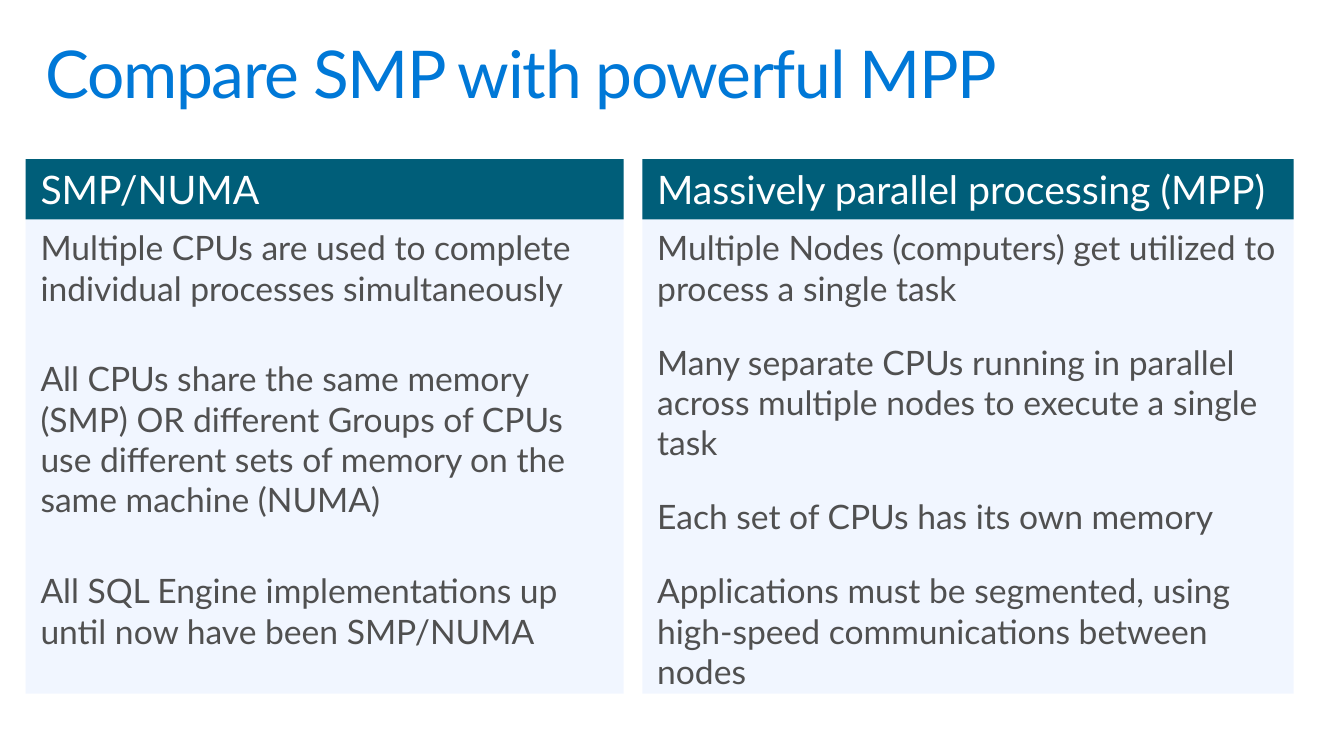
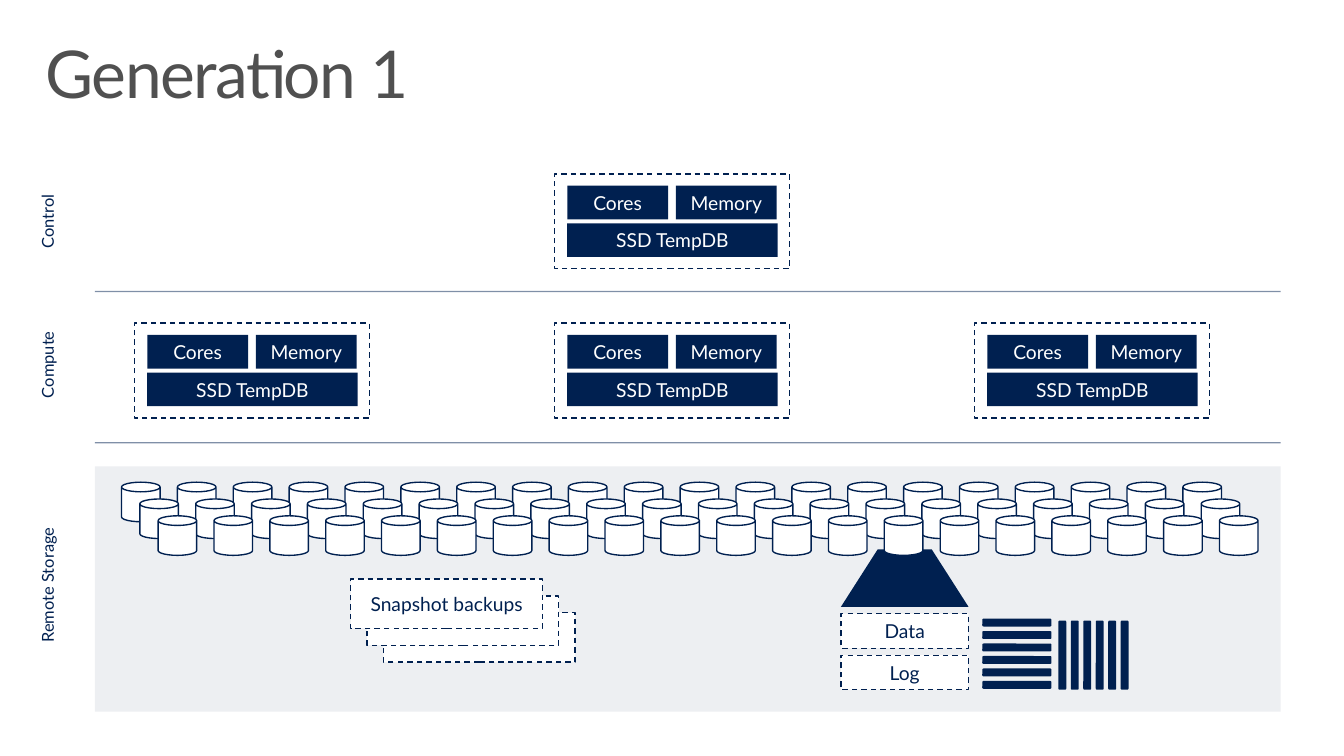
from lxml.etree import SubElement
from pptx import Presentation
from pptx.dml.color import RGBColor
from pptx.enum.dml import MSO_LINE
from pptx.enum.shapes import MSO_CONNECTOR, MSO_SHAPE
from pptx.enum.text import MSO_ANCHOR, MSO_AUTO_SIZE, PP_ALIGN
from pptx.oxml.ns import qn
from pptx.util import Inches, Pt

FONT = "Lato"
BLUE, TEAL, PALE = "0078D7", "005E79", "94BEFF"
NAVY, GREY, WHITE = "002050", "505050", "FFFFFF"


def paint(color, code, alpha=None):
    """Set a colour from its hex code, with an optional opacity in percent."""
    color.rgb = RGBColor.from_string(code)
    if alpha is not None:
        node = color._xFill.find(qn("a:srgbClr"))
        SubElement(node, qn("a:alpha")).set("val", str(alpha * 1000))


def write(shape, lines, size, code, align=PP_ALIGN.CENTER,
          anchor=MSO_ANCHOR.MIDDLE, pad=(0, 0, 0, 0), gap=0, wrap=True):
    """Fill a shape with paragraphs, parted by a gap in points."""
    frame = shape.text_frame
    frame.auto_size = MSO_AUTO_SIZE.NONE
    frame.word_wrap = wrap
    frame.vertical_anchor = anchor
    frame.margin_left, frame.margin_top, frame.margin_right, frame.margin_bottom = map(Inches, pad)
    for i, line in enumerate(lines):
        para = frame.add_paragraph() if i else frame.paragraphs[0]
        para.alignment = align
        para.space_before = Pt(gap if i else 0)
        run = para.add_run()
        run.text = line
        run.font.name = FONT
        run.font.size = Pt(size)
        paint(run.font.color, code)
    return frame


def draw(shapes, kind, box, fill=None, alpha=None, line=None, dash=False):
    """Add a preset shape without shadow."""
    shape = shapes.add_shape(kind, *map(Inches, box))
    shape.shadow.inherit = False
    if fill:
        shape.fill.solid()
        paint(shape.fill.fore_color, fill, alpha)
    else:
        shape.fill.background()
    if line:
        paint(shape.line.color, line)
        shape.line.width = Pt(1)
        if dash:
            shape.line.dash_style = MSO_LINE.DASH
    else:
        shape.line.fill.background()
    return shape


def start(deck, text, code):
    """Add a title-only slide with its heading."""
    slide = deck.slides.add_slide(deck.slide_layouts[5])
    title = slide.shapes.title
    title.left, title.top, title.width, title.height = map(Inches, (0.3, 0.32, 13, 1))
    frame = write(title, [text], 48, code, PP_ALIGN.LEFT, MSO_ANCHOR.TOP,
                  (0.16, 0.1, 0.16, 0.1))
    para = frame.paragraphs[0]
    para.line_spacing = 0.9
    para.runs[0]._r.get_or_add_rPr().set("spc", "-100")
    return slide.shapes


def panel(shapes, left, width, head, lines, gap):
    """Draw a column with a header bar and body text."""
    top, bar = 1.61, 0.61
    group = shapes.add_group_shape().shapes
    draw(group, MSO_SHAPE.RECTANGLE, (left, top + 0.02, width, 5.39), PALE, 13)
    title = draw(group, MSO_SHAPE.RECTANGLE, (left, top, width, bar), TEAL)
    write(title, [head], 28.6, WHITE, PP_ALIGN.LEFT, pad=(0.15, 0, 0.15, 0))
    body = group.add_textbox(*map(Inches, (left, top + bar, width, 4.8)))
    write(body, lines, 24.5, GREY, PP_ALIGN.LEFT, MSO_ANCHOR.TOP,
          (0.15, 0.08, 0.15, 0), gap)


def label(shapes, text, mid):
    """Place a row label that reads upwards, centred on a height."""
    wide, high = 2.4, 0.3
    box = shapes.add_textbox(*map(Inches, (0.48 - wide / 2, mid - high / 2, wide, high)))
    box.rotation = 270
    write(box, [text], 12, NAVY)


def rule(shapes, top):
    """Draw a pale line between two rows."""
    line = shapes.add_connector(MSO_CONNECTOR.STRAIGHT, *map(Inches, (0.96, top, 12.96, top)))
    paint(line.line.color, NAVY, 50)
    line.line.width = Pt(1)
    SubElement(line._element.spPr, qn("a:effectLst"))


def node(shapes, left, top):
    """Draw a server with cores, memory and local disk."""
    group = shapes.add_group_shape().shapes
    draw(group, MSO_SHAPE.RECTANGLE, (left, top, 2.38, 0.96), line=NAVY, dash=True)
    parts = (("Cores", 0.13, 0.12, 1.02), ("Memory", 1.23, 0.12, 1.02),
             ("SSD TempDB", 0.13, 0.5, 2.13))
    for text, x, y, width in parts:
        part = draw(group, MSO_SHAPE.RECTANGLE, (left + x, top + y, width, 0.34), NAVY)
        write(part, [text], 14, WHITE)


def disks(shapes, left, top):
    """Draw three staggered rows of twenty disks."""
    group = shapes.add_group_shape().shapes
    step = 10.74 / 19
    for row in range(3):
        for col in range(20):
            x = left + col * step + row * 0.37 / 2
            draw(group, MSO_SHAPE.CAN, (x, top + row * 0.17, 0.39, 0.4), WHITE, line=NAVY)


def card(shapes, box, text=None):
    """Draw a white card with a dashed edge."""
    shape = draw(shapes, MSO_SHAPE.RECTANGLE, box, WHITE, line=NAVY, dash=True)
    if text:
        write(shape, [text], 14, NAVY)


def bars(shapes, left, top):
    """Draw six flat bars beside six upright ones."""
    long, thin, step = 0.7, 0.08, 0.63 / 5
    flat, tall = (shapes.add_group_shape().shapes for _ in range(2))
    for i in range(6):
        draw(flat, MSO_SHAPE.ROUNDED_RECTANGLE, (left, top + i * step, long, thin), NAVY)
        draw(tall, MSO_SHAPE.ROUNDED_RECTANGLE,
             (left + 0.77 + i * step, top + 0.02, thin, long), NAVY)


def store(shapes, left, top):
    """Draw the storage band with disks, backups and files."""
    draw(shapes, MSO_SHAPE.FLOWCHART_PROCESS, (left, top, 12, 2.48), NAVY, 7)
    beam = draw(shapes, MSO_SHAPE.TRAPEZOID, (left + 7.55, top + 0.84, 1.29, 0.58), NAVY)
    beam.adjustments[0] = 0.64
    disks(shapes, left + 0.27, top + 0.16)
    for i, text in ((2, None), (1, None), (0, "Snapshot backups")):
        card(shapes, (left + 2.59 + i * 0.33 / 2, top + 1.14 + i * 0.17, 1.94, 0.5), text)
    for i, text in enumerate(("Data", "Log")):
        card(shapes, (left + 7.55, top + 1.49 + i * 0.42, 1.29, 0.35), text)
    bars(shapes, left + 8.98, top + 1.54)


def compare(deck):
    """Build the slide with two columns."""
    shapes = start(deck, "Compare SMP with powerful MPP", BLUE)
    panel(shapes, 6.5, 6.59, "Massively parallel processing (MPP)", (
        "Multiple Nodes (computers) get utilized to process a single task",
        "Many separate CPUs running in parallel across multiple nodes to execute a single task",
        "Each set of CPUs has its own memory",
        "Applications must be segmented, using high-speed communications between nodes",
    ), 24.5)
    panel(shapes, 0.26, 6.05, "SMP/NUMA", (
        "Multiple CPUs are used to complete individual processes simultaneously",
        "All CPUs share the same memory (SMP) OR different Groups of CPUs use "
        "different sets of memory on the same machine (NUMA)",
        "All SQL Engine implementations up until now have been SMP/NUMA",
    ), 36.7)


def layers(deck):
    """Build the slide with control, compute and storage rows."""
    shapes = start(deck, "Generation 1", GREY)
    store(shapes, 0.96, 4.72)
    for text, mid in (("Control", 2.24), ("Compute", 3.69), ("Remote Storage", 5.92)):
        label(shapes, text, mid)
    for top in (2.95, 4.48):
        rule(shapes, top)
    first, step = 1.36, 4.25
    node(shapes, first + step, 1.76)
    for i in range(3):
        node(shapes, first + i * step, 3.27)


def main():
    """Build and save the deck."""
    deck = Presentation()
    deck.slide_width, deck.slide_height = Inches(13.6), Inches(7.65)
    compare(deck)
    layers(deck)
    deck.save("out.pptx")


if __name__ == "__main__":
    main()
